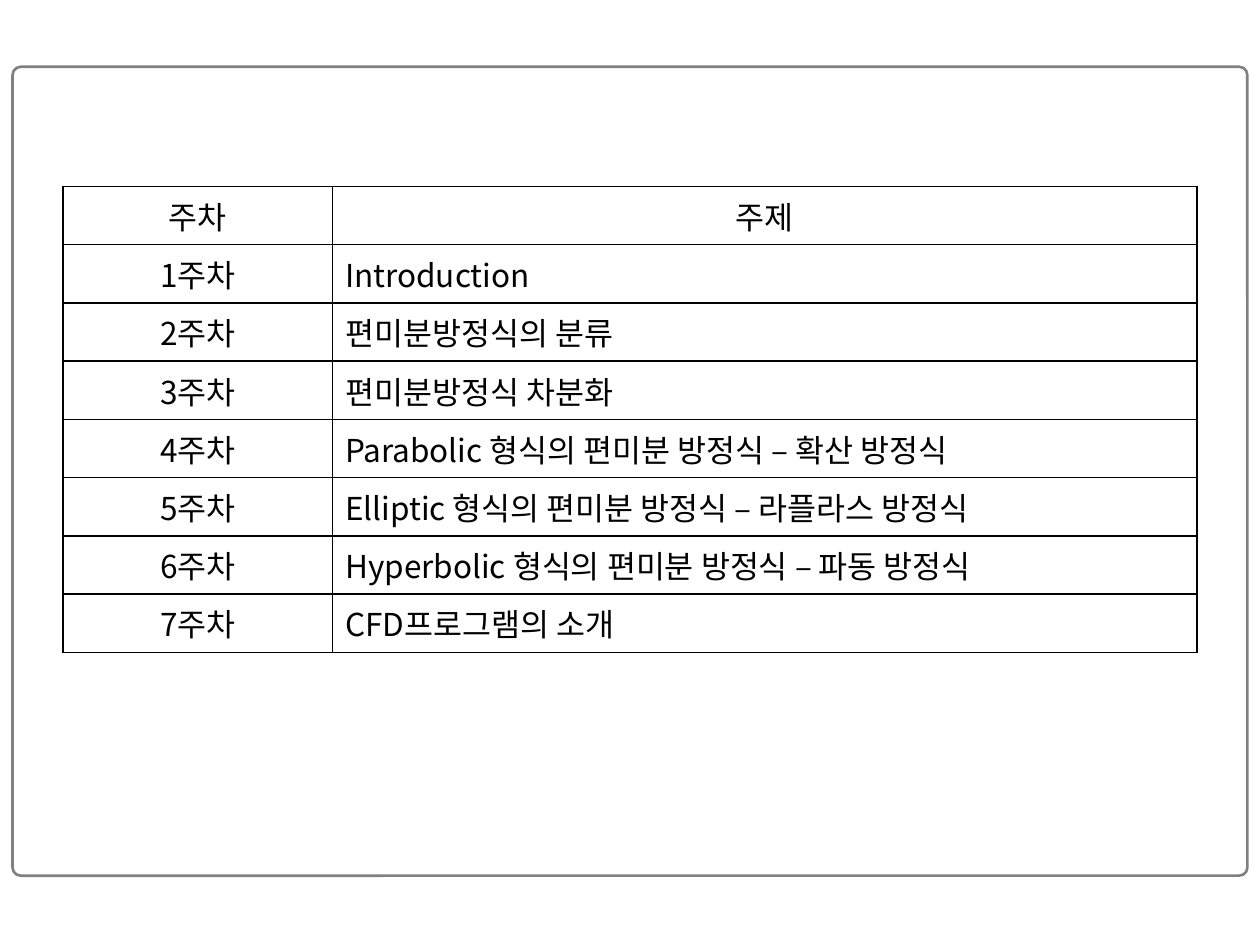
import pptx
import pptx.util
import pptx.dml.color
import pptx.enum.shapes
import pptx.enum.text
import pptx.oxml
import pptx.oxml.ns
import lxml.etree

W, H = 10, 7.5
FONT = "Noto Sans CJK KR"
TEXT_FORMAT = {"name": FONT, "size": pptx.util.Pt(18), "bold": False}
CENTER = pptx.enum.text.PP_ALIGN.CENTER
LEFT = pptx.enum.text.PP_ALIGN.LEFT
MIDDLE = pptx.enum.text.MSO_ANCHOR.MIDDLE
TOP = pptx.enum.text.MSO_ANCHOR.TOP

HEADER = ("주차", "주제")
TOPICS = (
    "Introduction",
    "편미분방정식의 분류",
    "편미분방정식 차분화",
    "Parabolic 형식의 편미분 방정식 – 확산 방정식",
    "Elliptic 형식의 편미분 방정식 – 라플라스 방정식",
    "Hyperbolic 형식의 편미분 방정식 – 파동 방정식",
    "CFD프로그램의 소개",
)


def color(value):
    return pptx.dml.color.RGBColor.from_string(value)


def box(x, y, w, h):
    """Turn shares of the slide's size into lengths."""
    return [pptx.util.Inches(v) for v in (x * W, y * H, w * W, h * H)]


def add_frame(slide, area):
    kind = pptx.enum.shapes.MSO_SHAPE.ROUNDED_RECTANGLE
    sp = slide.shapes.add_shape(kind, *area)
    sp.adjustments[0] = 0.01
    sp.shadow.inherit = False
    sp.fill.background()
    sp.line.color.rgb = color("808080")
    sp.line.width = pptx.util.Pt(1.5)


def set_borders(cell, value, width):
    tc_pr = cell._tc.get_or_add_tcPr()
    for i, side in enumerate(("lnL", "lnR", "lnT", "lnB")):
        ln = pptx.oxml.parse_xml(
            f'<a:{side} {pptx.oxml.ns.nsdecls("a")} w="{pptx.util.Pt(width)}">'
            f'<a:solidFill><a:srgbClr val="{value}"/></a:solidFill></a:{side}>'
        )
        tc_pr.insert(i, ln)


def fill_cell(cell, text, align, anchor):
    cell.fill.background()
    set_borders(cell, "000000", 1)
    cell.vertical_anchor = anchor
    p = cell.text_frame.paragraphs[0]
    p.alignment = align
    r = p.add_run()
    r.text = text
    for key, value in TEXT_FORMAT.items():
        setattr(r.font, key, value)
    r.font.color.rgb = color("000000")
    # East Asian typeface
    ea = lxml.etree.SubElement(r.font._element, pptx.oxml.ns.qn("a:ea"))
    ea.set("typeface", FONT)


def add_schedule(slide, area, rows, shares):
    table = slide.shapes.add_table(len(rows), len(shares), *area).table
    table.first_row = table.horz_banding = False
    for col, share in zip(table.columns, shares):
        col.width = int(area[2] * share)
    for i, row in enumerate(rows):
        for j, text in enumerate(row):
            align = CENTER if i == 0 or j == 0 else LEFT
            fill_cell(table.cell(i, j), text, align, TOP if i else MIDDLE)


def main():
    prs = pptx.Presentation()
    prs.slide_width, prs.slide_height = pptx.util.Inches(W), pptx.util.Inches(H)
    slide = prs.slides.add_slide(prs.slide_layouts[6])

    # Rounded frame
    add_frame(slide, box(0.01, 0.53 / H, 0.98, 6.42 / H))

    # Weekly schedule
    weeks = [(f"{n}주차", topic) for n, topic in enumerate(TOPICS, 1)]
    add_schedule(slide, box(0.05, 1.48 / H, 0.9, 3.24 / H),
                 [HEADER, *weeks], (2.14 / 9, 6.86 / 9))

    prs.save("out.pptx")


main()
